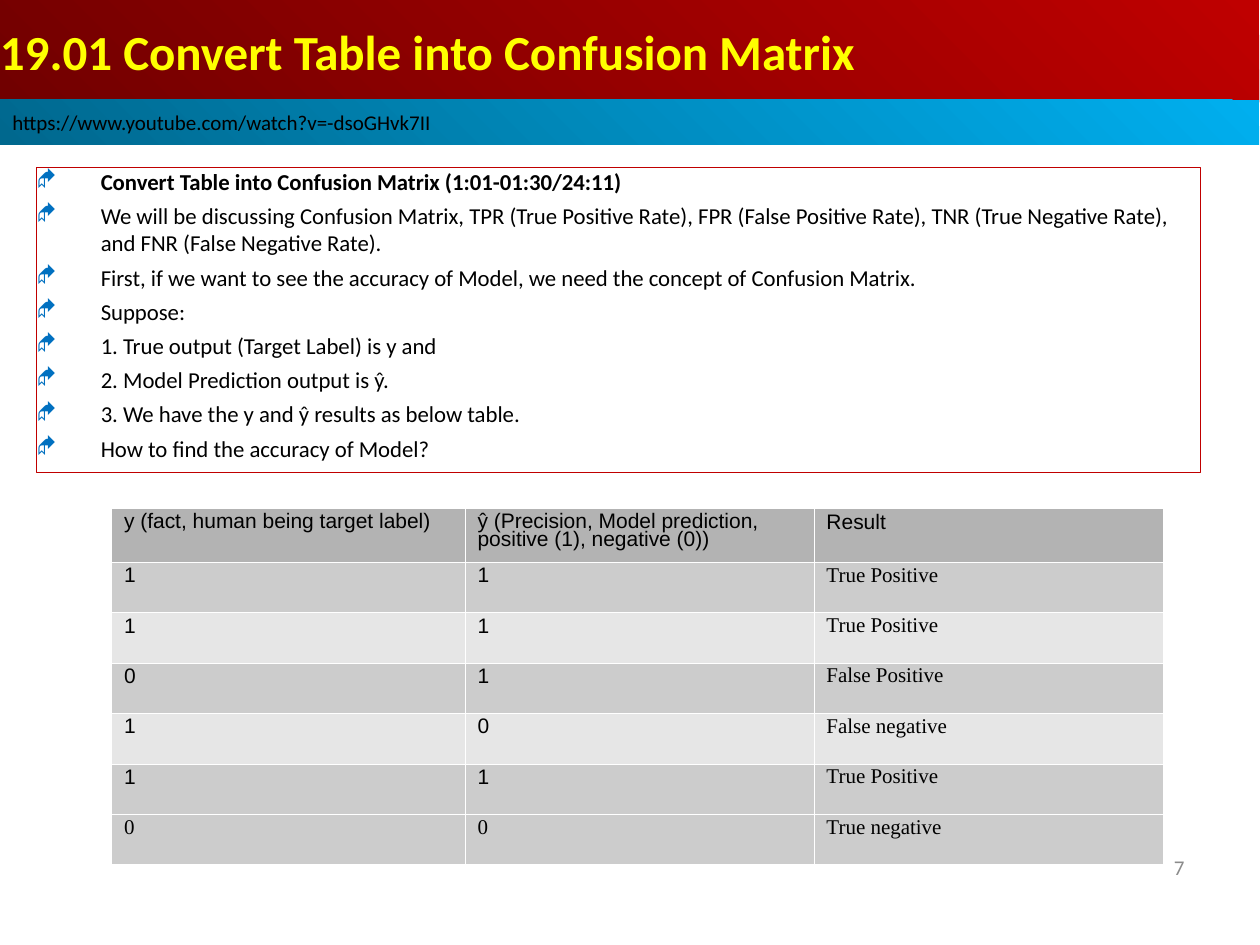
import pptx
import pptx.util
import pptx.dml.color
import pptx.enum.shapes
import pptx.enum.text
import pptx.oxml
import pptx.oxml.ns

Pt = pptx.util.Pt
ALIGN = pptx.enum.text.PP_ALIGN
ANCHOR = pptx.enum.text.MSO_ANCHOR
NS = pptx.oxml.ns.nsdecls("a")

TITLE = "19.01 Convert Table into Confusion Matrix"
LINK = "https://www.youtube.com/watch?v=-dsoGHvk7II"
POINTS = [
    "Convert Table into Confusion Matrix (1:01-01:30/24:11)",
    "We will be discussing Confusion Matrix, TPR (True Positive Rate), "
    "FPR (False Positive Rate), TNR (True Negative Rate), "
    "and FNR (False Negative Rate).",
    "First, if we want to see the accuracy of Model, "
    "we need the concept of Confusion Matrix.",
    "Suppose:",
    "1. True output (Target Label) is y and",
    "2. Model Prediction output is ŷ.",
    "3. We have the y and ŷ results as below table.",
    "How to find the accuracy of Model?",
]
ROWS = [
    ("y (fact, human being target label)",
     "ŷ (Precision, Model prediction, positive (1), negative (0))", "Result"),
    ("1", "1", "True Positive"),
    ("1", "1", "True Positive"),
    ("0", "1", "False Positive"),
    ("1", "0", "False negative"),
    ("1", "1", "True Positive"),
    ("0", "0", "True negative"),
]


def color(code):
    return pptx.dml.color.RGBColor.from_string(code)


def apply(target, values):
    for name, value in values.items():
        setattr(target, name, value)


def style(para, size, code="000000", face="Calibri", bold=False, **values):
    apply(para, values)
    apply(para.font, {"size": Pt(size), "name": face, "bold": bold})
    para.font.color.rgb = color(code)


def set_frame(frame, inset, anchor):
    apply(frame, {
        "word_wrap": True, "vertical_anchor": anchor,
        "margin_left": Pt(inset), "margin_right": Pt(inset),
        "margin_top": Pt(inset / 2), "margin_bottom": Pt(inset / 2),
    })


def add_box(slide, place, inset=0, anchor=ANCHOR.MIDDLE):
    kind = pptx.enum.shapes.MSO_SHAPE.RECTANGLE
    box = slide.shapes.add_shape(kind, *map(Pt, place))
    box.shadow.inherit = False
    set_frame(box.text_frame, inset, anchor)
    return box


def add_bar(slide, place, stops, text, inset=0, **values):
    bar = add_box(slide, place, inset)
    bar.line.fill.background()
    bar.fill.gradient()
    bar.fill.gradient_angle = 225
    for stop, code in zip(bar.fill.gradient_stops, stops):
        stop.color.rgb = color(code)
    para = bar.text_frame.paragraphs[0]
    para.text = text
    style(para, alignment=ALIGN.LEFT, **values)


def add_bullet(para):
    props = para._p.get_or_add_pPr()
    props.set("marL", str(Pt(36.7)))
    props.set("indent", str(Pt(-36.7)))
    for xml in (f'<a:buClr {NS}><a:srgbClr val="0070C0"/></a:buClr>',
                f'<a:buFont {NS} typeface="Wingdings"/>',
                f'<a:buChar {NS} char="◆"/>'):
        props.append(pptx.oxml.parse_xml(xml))


def add_list(slide, place, points):
    box = add_box(slide, place, anchor=ANCHOR.TOP)
    box.fill.background()
    box.line.color.rgb = color("C00000")
    box.line.width = Pt(0.75)
    frame = box.text_frame
    for index, text in enumerate(points):
        para = frame.add_paragraph() if index else frame.paragraphs[0]
        para.text = text
        add_bullet(para)
        style(para, 13, bold=index == 0, alignment=ALIGN.LEFT,
              space_before=Pt(3.4 if index else 0), space_after=Pt(0.5))


def add_number(slide, place, text):
    box = slide.shapes.add_textbox(*map(Pt, place))
    set_frame(box.text_frame, 7.2, ANCHOR.MIDDLE)
    para = box.text_frame.paragraphs[0]
    para.text = text
    style(para, 12, "8B8B8B", alignment=ALIGN.RIGHT)


def fill_cell(cell, text, back, face, space):
    para = cell.text_frame.paragraphs[0]
    para.text = text
    style(para, 12, face=face, line_spacing=space)
    props = cell._tc.get_or_add_tcPr()
    for side in ("lnL", "lnR", "lnT", "lnB"):
        props.append(pptx.oxml.parse_xml(
            f'<a:{side} {NS} w="{Pt(0.06)}"><a:solidFill>'
            f'<a:srgbClr val="FFFFFF"/></a:solidFill></a:{side}>'))
    cell.fill.solid()
    cell.fill.fore_color.rgb = color(back)


def add_grid(slide, place, widths, heights, rows):
    size = len(rows), len(widths)
    table = slide.shapes.add_table(*size, *map(Pt, place)).table
    for column, width in zip(table.columns, widths):
        column.width = Pt(width)
    last = len(rows) - 1
    for r, texts in enumerate(rows):
        table.rows[r].height = Pt(heights[r])
        back = "B3B3B3" if r == 0 else "CCCCCC" if r % 2 or r == last else "E6E6E6"
        for c, text in enumerate(texts):
            serif = r == last or (r > 0 and c == 2)
            face = "Times New Roman" if serif else "Arial"
            space = 0.74 if serif else 0.81 if c == 2 else 0.76
            fill_cell(table.cell(r, c), text, back, face, space)


def main():
    deck = pptx.Presentation()
    apply(deck, {"slide_width": Pt(720), "slide_height": Pt(540)})
    slide = deck.slides.add_slide(deck.slide_layouts[6])
    add_bar(slide, (0, 0, 719.5, 58.5), ("BF0000", "710000"), TITLE,
            size=28, code="FFFF00", bold=True)
    add_list(slide, (20.9, 95.8, 665.3, 174.2), POINTS)
    add_bar(slide, (0, 56.9, 719.5, 26), ("00AFEF", "00688E"), LINK,
            inset=7.2, size=12)
    add_number(slide, (518.4, 482.4, 165.6, 26.6), "7")
    add_grid(slide, (63.7, 290.2, 600.8, 203.8), (202, 199.4, 199.4),
             [31] + [28.8] * 6, ROWS)
    deck.save("out.pptx")


if __name__ == "__main__":
    main()
